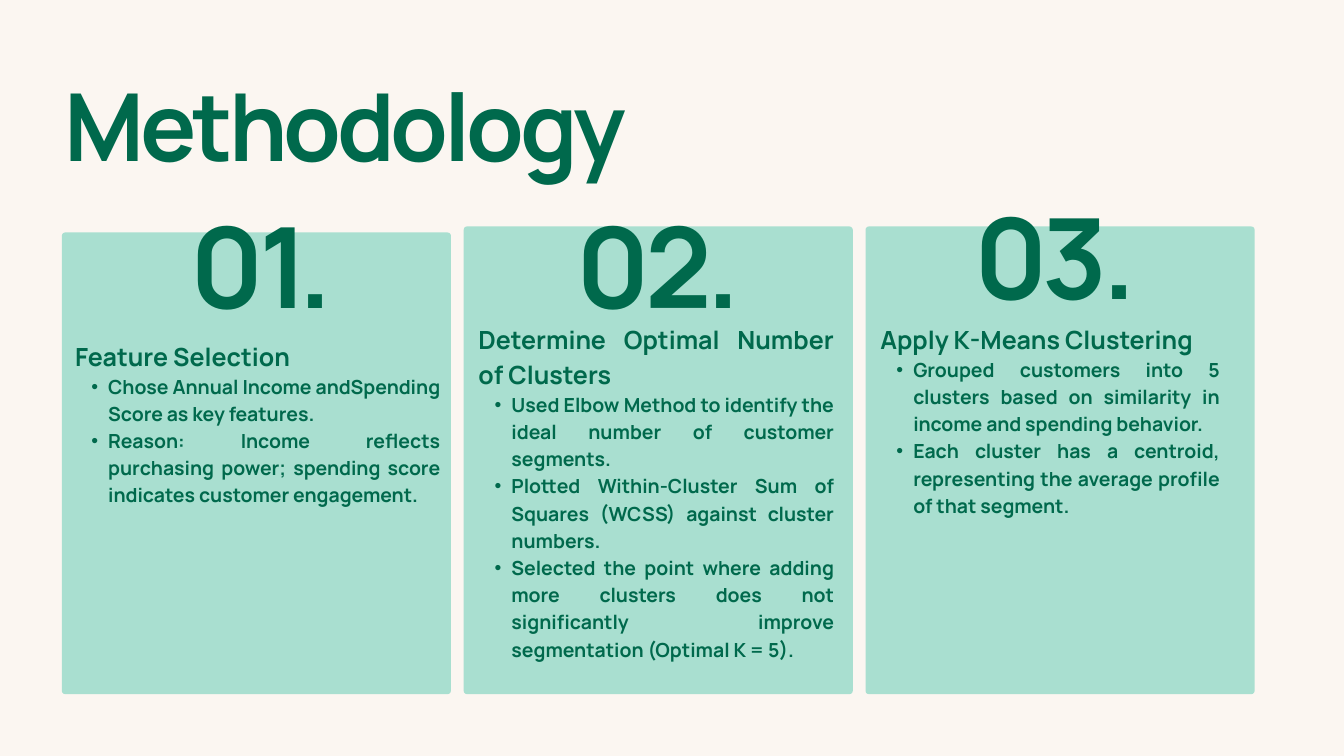
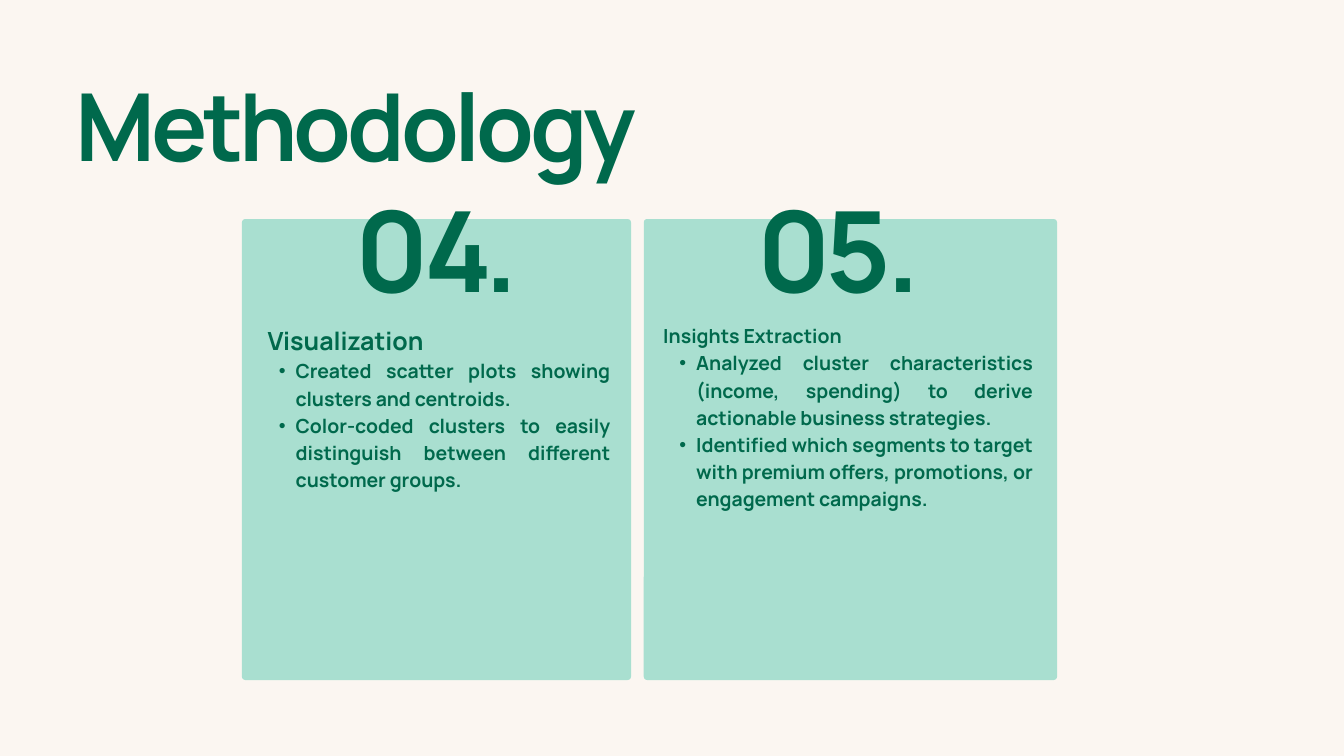
from lxml.etree import SubElement
from pptx import Presentation
from pptx.dml.color import RGBColor
from pptx.enum.shapes import MSO_SHAPE
from pptx.enum.text import PP_ALIGN
from pptx.oxml.ns import qn
from pptx.util import Inches, Pt

CREAM = RGBColor(0xFB, 0xF6, 0xF1)
MINT = RGBColor(0xA9, 0xDF, 0xD0)
GREEN = RGBColor(0x00, 0x69, 0x4C)
FONT = "Manrope"

# Styles: size, line spacing and letter spacing in points
TITLE = (100.4, 90.4, -4.6)
NUMBER = (120, 108, -5.5)
HEADING = (26.8, 37.5, 0)
BODY = (20.8, 29.1, 0)

CARD_WIDTH, CARD_GAP, CORNER = 5.79, 0.19, 0.05
NUMBER_WIDTH, NUMBER_HEIGHT = 2.65, 1.64
BULLET_MARGIN, BULLET_INDENT = 0.49, -0.25

# number_at is left, top; text_box is left, top, width, height
SLIDES = [
    {
        "title": " Methodology", "title_box": (0.75, 1.43, 15.15, 1.37),
        "cards_left": 0.92, "cards_bottom": 10.33,
        "cards": [
            {"top": 3.46, "width": CARD_WIDTH,
             "number": "01.", "number_at": (2.57, 3.42),
             "text_box": (1.12, 5, 5.43, 2.89),
             "heading": "Feature Selection", "heading_style": HEADING,
             "bullets": [
                 "Chose Annual Income andSpending Score as key features.",
                 "Reason: Income reflects purchasing power; spending score "
                 "indicates customer engagement."]},
            {"top": 3.37, "width": CARD_WIDTH,
             "number": "02.", "number_at": (8.48, 3.42),
             "text_box": (7.12, 4.75, 5.29, 5.39),
             "heading": "Determine Optimal Number of Clusters", "heading_style": HEADING,
             "bullets": [
                 "Used Elbow Method to identify the ideal number of customer segments.",
                 "Plotted Within-Cluster Sum of Squares (WCSS) against cluster numbers.",
                 "Selected the point where adding more clusters does not "
                 "significantly improve segmentation (Optimal K = 5)."]},
            {"top": 3.37, "width": CARD_WIDTH,
             "number": "03.", "number_at": (14.38, 3.29),
             "text_box": (13.1, 4.75, 5.05, 3.24),
             "heading": "Apply K-Means Clustering", "heading_style": HEADING,
             "bullets": [
                 "Grouped customers into 5 clusters based on similarity in "
                 "income and spending behavior.",
                 "Each cluster has a centroid, representing the average "
                 "profile of that segment."]},
        ],
    },
    {
        "title": "Methodology", "title_box": (1.12, 1.43, 12.91, 1.37),
        "cards_left": 3.6, "cards_bottom": 10.12,
        "cards": [
            {"top": 3.26, "width": CARD_WIDTH,
             "number": "04.", "number_at": (5.18, 3.19),
             "text_box": (3.91, 4.77, 5.17, 2.88),
             "heading": " Visualization", "heading_style": HEADING,
             "bullets": [
                 "Created scatter plots showing clusters and centroids.",
                 "Color-coded clusters to easily distinguish between "
                 "different customer groups."]},
            {"top": 3.26, "width": 6.15,
             "number": "05.", "number_at": (11.16, 3.19),
             "text_box": (9.87, 4.77, 5.5, 3.17),
             "heading": "Insights Extraction", "heading_style": BODY,
             "bullets": [
                 "Analyzed cluster characteristics (income, spending) to "
                 "derive actionable business strategies.",
                 "Identified which segments to target with premium offers, "
                 "promotions, or engagement campaigns."]},
        ],
    },
]


def add_text_frame(slide, box):
    frame = slide.shapes.add_textbox(*map(Inches, box)).text_frame
    frame.word_wrap = True
    frame.margin_left = frame.margin_top = frame.margin_right = frame.margin_bottom = 0
    return frame


def write(paragraph, text, style, alignment):
    size, line_spacing, letter_spacing = style
    paragraph.alignment = alignment
    paragraph.line_spacing = Pt(line_spacing)
    run = paragraph.add_run()
    run.text = text
    run.font.name = FONT
    run.font.size = Pt(size)
    run.font.bold = True
    run.font.color.rgb = GREEN
    if letter_spacing:
        run.font._element.set("spc", str(round(letter_spacing * 100)))


def add_bullet(paragraph):
    properties = paragraph._p.get_or_add_pPr()
    properties.set("marL", str(Inches(BULLET_MARGIN)))
    properties.set("indent", str(Inches(BULLET_INDENT)))
    SubElement(properties, qn("a:buFont"), typeface="Arial")
    SubElement(properties, qn("a:buChar"), char="•")


def add_panel(slide, left, top, width, height):
    shape = slide.shapes.add_shape(
        MSO_SHAPE.ROUNDED_RECTANGLE, *map(Inches, (left, top, width, height)))
    shape.adjustments[0] = CORNER / min(width, height)
    shape.shadow.inherit = False
    shape.fill.solid()
    shape.fill.fore_color.rgb = MINT
    shape.line.fill.background()


def add_card_text(slide, card):
    number = add_text_frame(slide, (*card["number_at"], NUMBER_WIDTH, NUMBER_HEIGHT))
    write(number.paragraphs[0], card["number"], NUMBER, PP_ALIGN.CENTER)
    frame = add_text_frame(slide, card["text_box"])
    write(frame.paragraphs[0], card["heading"], card["heading_style"], PP_ALIGN.JUSTIFY)
    for bullet in card["bullets"]:
        paragraph = frame.add_paragraph()
        write(paragraph, bullet, BODY, PP_ALIGN.JUSTIFY)
        add_bullet(paragraph)


def add_methodology_slide(presentation, content):
    slide = presentation.slides.add_slide(presentation.slide_layouts[6])
    slide.background.fill.solid()
    slide.background.fill.fore_color.rgb = CREAM
    title = add_text_frame(slide, content["title_box"])
    write(title.paragraphs[0], content["title"], TITLE, PP_ALIGN.LEFT)
    left = content["cards_left"]
    for card in content["cards"]:
        add_panel(slide, left, card["top"], card["width"],
                  content["cards_bottom"] - card["top"])
        add_card_text(slide, card)
        left += card["width"] + CARD_GAP


def main():
    presentation = Presentation()
    presentation.slide_width = Inches(20)
    presentation.slide_height = Inches(11.25)
    for content in SLIDES:
        add_methodology_slide(presentation, content)
    presentation.save("out.pptx")


if __name__ == "__main__":
    main()
